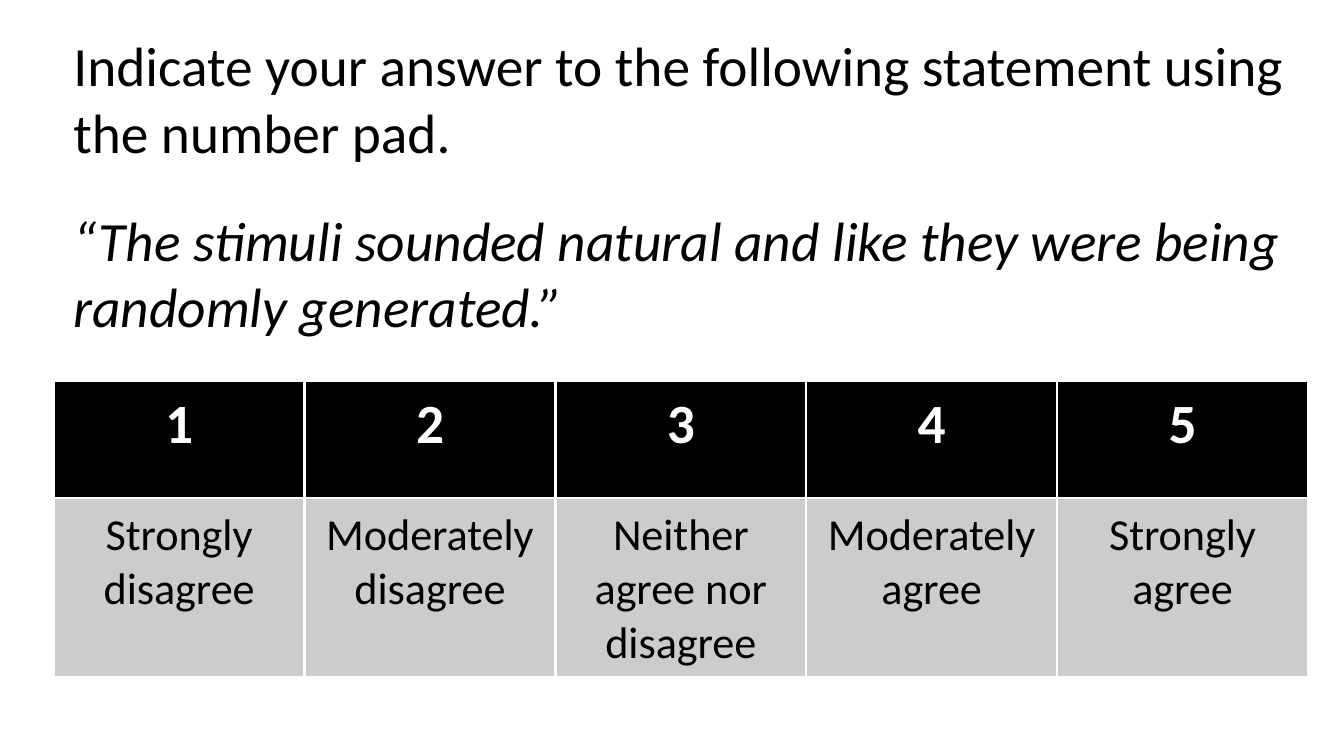
from pptx import Presentation
from pptx.dml.color import RGBColor
from pptx.enum.text import PP_ALIGN
from pptx.util import Inches, Pt

LEFT, CENTER = PP_ALIGN.LEFT, PP_ALIGN.CENTER
FONT = "Calibri"
BLACK, WHITE, GRAY = "000000", "FFFFFF", "CCCCCC"

INSTRUCTION = "Indicate your answer to the following statement using the number pad."
STATEMENT = "“The stimuli sounded natural and like they were being randomly generated.”"
SCALE = [
    "Strongly disagree",
    "Moderately disagree",
    "Neither agree nor disagree",
    "Moderately agree",
    "Strongly agree",
]


def color(value):
    return RGBColor.from_string(value)


def write(p, text, size=20, fill=BLACK, bold=False, italic=False, align=LEFT, before=0):
    p.alignment = align
    p.space_before = Pt(before)
    r = p.add_run()
    r.text = text
    r.font.name = FONT
    r.font.size = Pt(size)
    r.font.bold = bold
    r.font.italic = italic
    r.font.color.rgb = color(fill)


def add_question(s):
    sp = s.shapes.add_textbox(Inches(0.27), Inches(0.11), Inches(6.32), Inches(1.66))
    tf = sp.text_frame
    tf.word_wrap = True
    write(tf.paragraphs[0], INSTRUCTION)
    write(tf.add_paragraph(), STATEMENT, italic=True, before=15)


def fill_cell(cell, text, background, **style):
    cell.fill.solid()
    cell.fill.fore_color.rgb = color(background)
    write(cell.text_frame.paragraphs[0], text, align=CENTER, **style)


def add_scale(s):
    frame = s.shapes.add_table(
        2, len(SCALE), Inches(0.27), Inches(1.91), Inches(6.3), Inches(1.45)
    )
    table = frame.table
    table.rows[0].height = Inches(0.59)
    table.rows[1].height = Inches(0.86)
    for i, label in enumerate(SCALE):
        fill_cell(table.cell(0, i), str(i + 1), BLACK, fill=WHITE, bold=True)
        fill_cell(table.cell(1, i), label, GRAY, size=16)


def main():
    prs = Presentation()
    prs.slide_width = Inches(6.75)
    prs.slide_height = Inches(3.75)
    s = prs.slides.add_slide(prs.slide_layouts[6])
    add_question(s)
    add_scale(s)
    prs.save("out.pptx")


if __name__ == "__main__":
    main()
